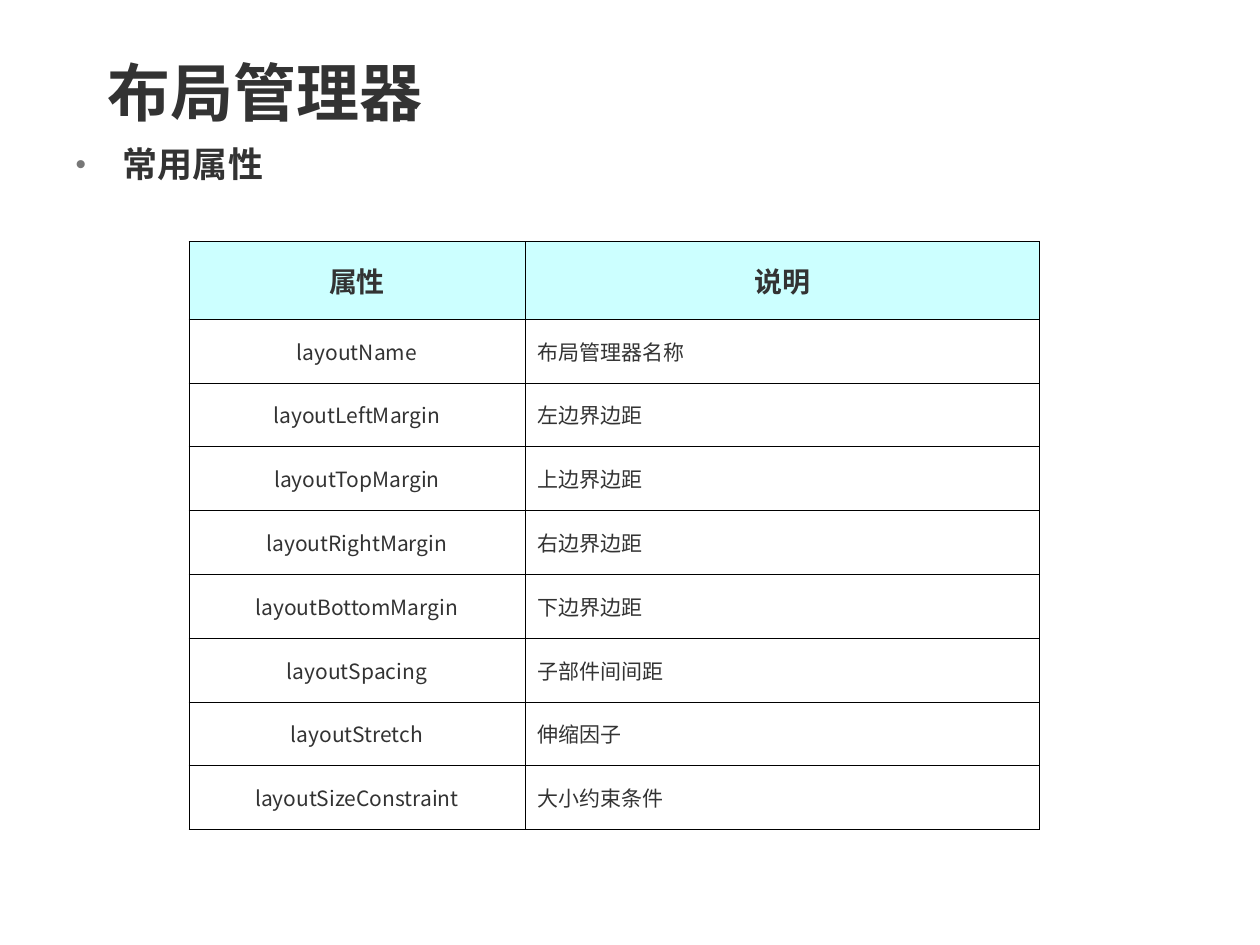
from lxml import etree
from pptx import Presentation
from pptx.dml.color import RGBColor
from pptx.enum.text import MSO_ANCHOR, PP_ALIGN
from pptx.oxml.ns import qn
from pptx.util import Inches, Pt

MID, TOP = MSO_ANCHOR.MIDDLE, MSO_ANCHOR.TOP
LEFT, CENTER = PP_ALIGN.LEFT, PP_ALIGN.CENTER
INK, CJK = "333333", "Noto Sans CJK SC"


def color(code):
    return RGBColor.from_string(code)


def style(frame, size, bold, face, align, anchor):
    frame.vertical_anchor = anchor
    para = frame.paragraphs[0]
    para.alignment = align
    para.line_spacing = 1.0
    para.space_before = Pt(0)
    font = para.runs[0].font
    font.size, font.bold, font.name = Pt(size), bold, face
    font.color.rgb = color(INK)
    east = etree.SubElement(font._element, qn("a:ea"))
    east.set("typeface", CJK)


prs = Presentation()
prs.slide_width, prs.slide_height = Inches(10), Inches(7.5)
slide = prs.slides.add_slide(prs.slide_layouts[1])
unit = prs.slide_width / 120  # grid of 120 columns by 90 rows

# Title and body placeholders
title, body = slide.placeholders
spots = [
    (title, "布局管理器", 36, MID, (9, 4, 108, 9.4)),
    (body, "常用属性", 20, TOP, (6, 13, 53, 66)),
]
for shape, text, size, anchor, box in spots:
    shape.left, shape.top, shape.width, shape.height = [int(n * unit) for n in box]
    shape.text_frame.text = text
    style(shape.text_frame, size, True, "Arial", LEFT, anchor)

# Bullet of the body line
props = body.text_frame.paragraphs[0]._p.get_or_add_pPr()
props.set("marL", str(int(4.5 * unit)))
props.set("indent", str(int(-4.5 * unit)))
tint = etree.SubElement(props, qn("a:buClr"))
etree.SubElement(tint, qn("a:srgbClr"), val="777777")
etree.SubElement(props, qn("a:buSzPct"), val="85000")
etree.SubElement(props, qn("a:buFont"), typeface="Arial")
etree.SubElement(props, qn("a:buChar"), char="•")

# Table of properties
rows = [
    ("属性", "说明"),
    ("layoutName", "布局管理器名称"),
    ("layoutLeftMargin", "左边界边距"),
    ("layoutTopMargin", "上边界边距"),
    ("layoutRightMargin", "右边界边距"),
    ("layoutBottomMargin", "下边界边距"),
    ("layoutSpacing", "子部件间间距"),
    ("layoutStretch", "伸缩因子"),
    ("layoutSizeConstraint", "大小约束条件"),
]
box = [int(n * unit) for n in (18, 23, 81, 56)]
table = slide.shapes.add_table(len(rows), 2, *box).table
table.first_row = table.horz_banding = False
for col, span in zip(table.columns, (32, 49)):
    col.width = int(span * unit)

for r, row in enumerate(rows):
    head = r == 0
    table.rows[r].height = int((7.4 if head else 6.08) * unit)
    for c, text in enumerate(row):
        cell = table.cell(r, c)
        cell.text_frame.text = text
        align = CENTER if head or c == 0 else LEFT
        style(cell.text_frame, 16 if head else 12, head, CJK, align, MID)
        cell.vertical_anchor = MID
        # Thin black borders come before the fill
        edges = cell._tc.get_or_add_tcPr()
        for side in "LRTB":
            line = etree.SubElement(edges, qn("a:ln" + side), w=str(Pt(0.45)))
            paint = etree.SubElement(line, qn("a:solidFill"))
            etree.SubElement(paint, qn("a:srgbClr"), val="000000")
        if head:
            cell.fill.solid()
            cell.fill.fore_color.rgb = color("CCFFFF")
        else:
            cell.fill.background()

prs.save("out.pptx")
